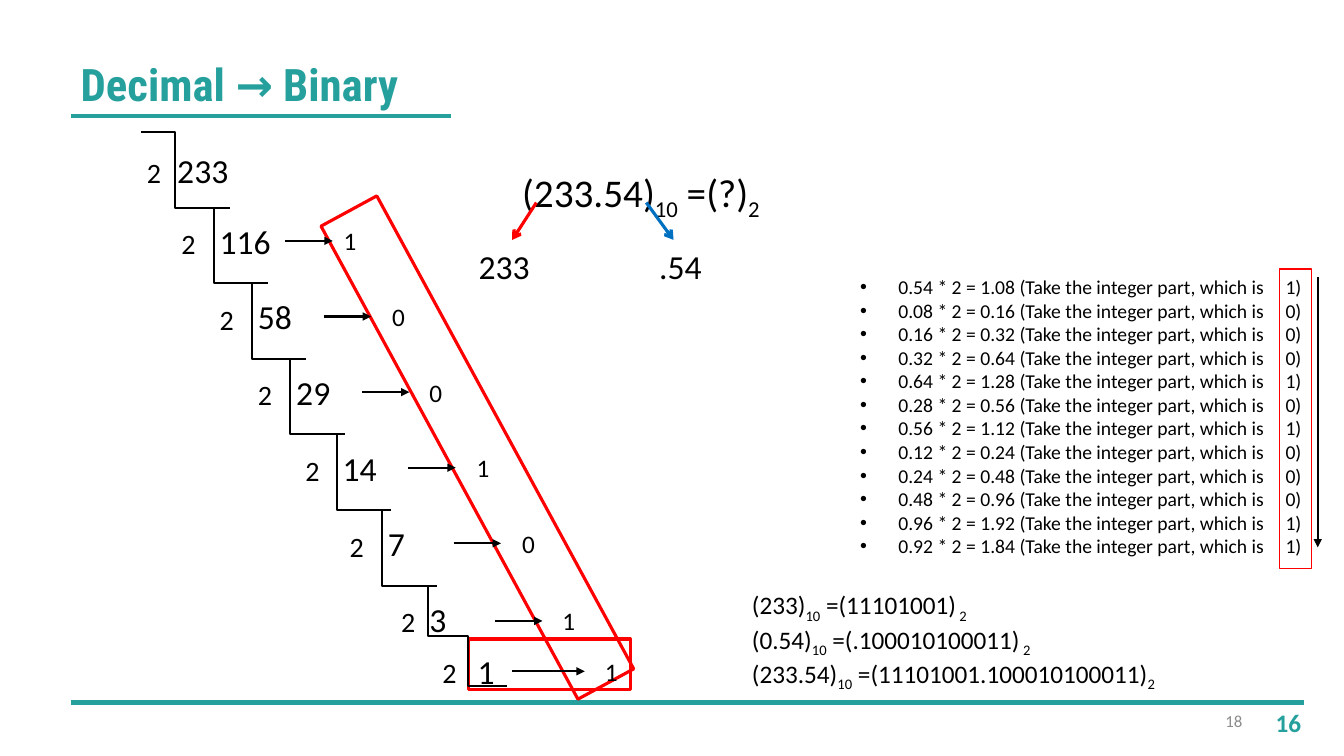
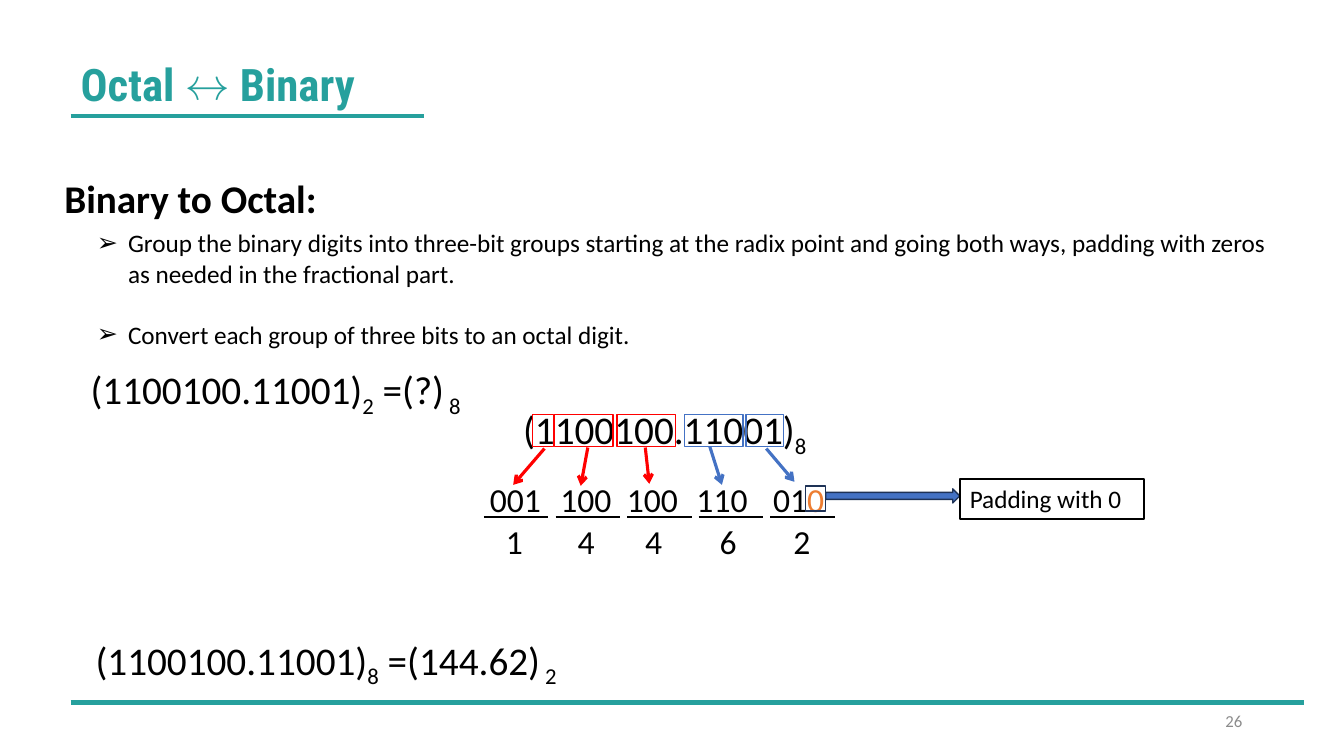
import lxml.etree
import pptx
import pptx.dml.color
import pptx.enum.shapes
import pptx.enum.text
import pptx.oxml.ns
import pptx.util

Inches = pptx.util.Inches
RGB = pptx.dml.color.RGBColor
SHAPE = pptx.enum.shapes.MSO_SHAPE
LINE = pptx.enum.shapes.MSO_CONNECTOR
ALIGN = pptx.enum.text.PP_ALIGN
ANCHOR = pptx.enum.text.MSO_ANCHOR

TEAL, BLACK, GREY = RGB(0x26, 0xA0, 0x9D), RGB(0, 0, 0), RGB(0x8C, 0x8C, 0x8C)
RED, AZURE, BLUE = RGB(0xFF, 0, 0), RGB(0, 0x70, 0xC0), RGB(0x44, 0x72, 0xC4)
NAVY, ORANGE = RGB(0x1E, 0x32, 0x56), RGB(0xED, 0x7D, 0x31)

# In all texts, the parts between bars are subscripts.

# Division steps: left edge, quotient, quotient offset, divisor left, remainder, remainder left
DIVISIONS = [
    (1.4, "233", (0.26, 0.13), 1.36, None, None),
    (1.78, "116", (0.3, 0.08), 1.7, "1", 3.31),
    (2.16, "58", (0.3, 0.08), 2.08, "0", 3.79),
    (2.54, "29", (0.3, 0.08), 2.46, "0", 4.16),
    (3.0, "14", (0.3, 0.08), 2.93, "1", 4.63),
    (3.45, "7", (0.3, 0.08), 3.37, "0", 5.08),
    (3.86, "3", (0.3, 0.08), 3.88, "1", 5.48),
    (4.26, "1", (0.38, 0.1), 4.29, "1", 5.9),
]
TALL_STEPS = 6
PRODUCTS = [
    ("0.54", "1.08"), ("0.08", "0.16"), ("0.16", "0.32"), ("0.32", "0.64"),
    ("0.64", "1.28"), ("0.28", "0.56"), ("0.56", "1.12"), ("0.12", "0.24"),
    ("0.24", "0.48"), ("0.48", "0.96"), ("0.96", "1.92"), ("0.92", "1.84"),
]
DECIMAL_RESULTS = [
    "(233)|10| =(11101001)| 2",
    "(0.54)|10| =(.100010100011)| 2",
    "(233.54)|10| =(11101001.100010100011)|2",
]
OCTAL_RULES = [
    "Group the binary digits into three-bit groups starting at the radix point and going "
    "both ways, padding with zeros as needed in the fractional part.",
    "Convert each group of three bits to an octal digit.",
]
# Groups: bits, bits left, digit, digit left, colour, frame left and width, arrow
GROUPS = [
    ("001", 4.76, "1", 4.92, RED, (5.28, 0.21), (5.4, 4.45, 5.09, 4.81)),
    ("100", 5.46, "4", 5.63, RED, (5.5, 0.58), (5.83, 4.44, 5.76, 4.82)),
    ("100", 6.12, "4", 6.3, RED, (6.12, 0.58), (6.4, 4.44, 6.44, 4.8)),
    ("110", 6.81, "6", 7.04, BLUE, (6.79, 0.58), (7.04, 4.43, 7.16, 4.81)),
    ("01", 7.57, "2", 7.77, BLUE, (7.4, 0.37), (7.6, 4.45, 7.88, 4.78)),
]


def add_child(parent, tag, **attrs):
    return lxml.etree.SubElement(parent, pptx.oxml.ns.qn(tag), **attrs)


def add_run(p, text, size, color=BLACK, bold=False, font="Calibri"):
    r = p.add_run()
    r.text = text
    formats = {"name": font, "size": pptx.util.Pt(size), "bold": bold}
    for name, value in formats.items():
        setattr(r.font, name, value)
    r.font.color.rgb = color
    return r


def write(tf, lines, size, align=ALIGN.LEFT, anchor=ANCHOR.TOP, bullet=None,
          indent=0, gap=0, **style):
    """Fill a text frame with one paragraph per line."""
    settings = {"word_wrap": True, "auto_size": pptx.enum.text.MSO_AUTO_SIZE.NONE,
                "vertical_anchor": anchor}
    for name, value in settings.items():
        setattr(tf, name, value)
    for i, line in enumerate(lines):
        p = tf.paragraphs[0] if i == 0 else tf.add_paragraph()
        if bullet:
            props = p._p.get_or_add_pPr()
            props.set("marL", str(Inches(indent)))
            props.set("indent", str(-Inches(indent)))
            add_child(props, "a:buFont", typeface="Arial")
            add_child(props, "a:buChar", char=bullet)
        p.alignment = align
        p.space_before = pptx.util.Pt(gap if i else 0)
        for j, part in enumerate(line.split("|")):
            r = add_run(p, part, size, **style)
            if j % 2:
                r.font._element.set("baseline", "-25000")


def add_text(s, at, text, size, **style):
    box = s.shapes.add_textbox(*map(Inches, at))
    write(box.text_frame, [text] if isinstance(text, str) else text, size, **style)
    return box


def fill_placeholder(sp, at, lines, size, **style):
    sp.left, sp.top, sp.width, sp.height = map(Inches, at)
    write(sp.text_frame, lines, size, **style)


def add_frame(s, at, color, width=1, fill=None, kind=SHAPE.RECTANGLE):
    sp = s.shapes.add_shape(kind, *map(Inches, at))
    sp.shadow.inherit = False
    if fill is None:
        sp.fill.background()
    else:
        sp.fill.solid()
        sp.fill.fore_color.rgb = fill
    sp.line.color.rgb = color
    sp.line.width = pptx.util.Pt(width)
    return sp


def add_line(s, ends, color=BLACK, width=1.5, head=None, bend=None):
    """Draw a line, or an elbow whose riser sits at the share `bend` of its width."""
    kind = LINE.STRAIGHT if bend is None else LINE.ELBOW
    line = s.shapes.add_connector(kind, *map(Inches, ends))
    line.line.color.rgb = color
    line.line.width = pptx.util.Pt(width)
    props = line._element.spPr
    if head:
        add_child(props.find(pptx.oxml.ns.qn("a:ln")), "a:tailEnd", type=head)
    if bend is not None:
        guides = props.find(".//" + pptx.oxml.ns.qn("a:avLst"))
        add_child(guides, "a:gd", name="adj1", fmla=f"val {round(bend * 100000)}")
    add_child(props, "a:effectLst")


def add_slide(prs, title, rule_end, number):
    """Add a slide with the shared title, rules and number; return it with its body."""
    s = prs.slides.add_slide(prs.slide_layouts[1])
    fill_placeholder(s.shapes.title, (0.7, 0.51, 7.53, 0.64), [title], 32,
                     color=TEAL, bold=True, font="Roboto Condensed")
    add_line(s, (0.7, 1.15, rule_end, 1.15), TEAL, 3)
    add_line(s, (0.7, 6.97, 12.93, 6.97), TEAL, 3)
    add_text(s, (9.42, 6.95, 3, 0.4), number, 12, color=GREY,
             align=ALIGN.RIGHT, anchor=ANCHOR.MIDDLE)
    return s, s.placeholders[1]


def add_divisions(s):
    y = 1.31
    for i, (x, quotient, (dx, dy), divisor_x, bit, bit_x) in enumerate(DIVISIONS):
        width, height, bend = (0.88, 0.75, 0.386) if i < TALL_STEPS else (0.77, 0.5, 0.5)
        add_line(s, (x, y, x + width, y + height), bend=bend)
        add_text(s, (x + dx, y + dy, 0.76, 0.5), quotient, 24)
        add_text(s, (divisor_x, y + 0.14 + (0.04 if i == 0 else 0), 0.34, 0.44), "2", 20)
        if bit:
            last = i == len(DIVISIONS) - 1
            start, length = (x + 0.82, 0.72) if last else (x + 1.05, 0.47)
            middle = y + (0.33 if i < TALL_STEPS else 0.35)
            add_line(s, (start, middle, start + length, middle), head="triangle")
            add_text(s, (bit_x, middle - 0.2, 0.35, 0.4), bit, 18)
        y += height


def decimal_slide(prs):
    s, body = add_slide(prs, "Decimal → Binary", 4.47, "18")
    add_text(s, (12.53, 6.97, 0.5, 0.4), "16", 18, color=TEAL, bold=True, align=ALIGN.CENTER)
    add_frame(s, (4.42, 1.77, 0.63, 5.34), RED, 2.25).rotation = 331.5
    add_frame(s, (4.65, 6.34, 1.6, 0.5), RED, 2.25)

    add_text(s, (5.08, 1.62, 2.84, 0.57), "(233.54)|10| =(?)|2", 28)
    add_line(s, (5.32, 2.01, 5.08, 2.38), RED, 2.25, "arrow")
    add_line(s, (6.41, 2.01, 6.68, 2.38), AZURE, 2.25, "arrow")
    for x, part in ((4.65, "233"), (6.44, ".54")):
        add_text(s, (x, 2.39, 0.76, 0.5), part, 24)
    add_divisions(s)

    products = [f"{a} * 2 = {b} (Take the integer part, which is" for a, b in PRODUCTS]
    fill_placeholder(body, (8.43, 2.68, 4.26, 2.93), products, 14, bullet="•", indent=0.38)
    bits = add_frame(s, (12.69, 2.67, 0.32, 2.97), RED)
    margins = {"margin_left": 0.06, "margin_right": 0, "margin_top": 0.06}
    for name, value in margins.items():
        setattr(bits.text_frame, name, Inches(value))
    write(bits.text_frame, [f"{b[0]})" for _, b in PRODUCTS], 14)
    add_line(s, (13.07, 2.75, 13.07, 5.43), head="triangle")
    add_text(s, (7.36, 5.8, 5.6, 1.13), DECIMAL_RESULTS, 18)


def octal_slide(prs):
    s, body = add_slide(prs, "Octal ↔ Binary", 4.21, "26")
    add_text(s, (0.54, 1.68, 2.8, 0.57), "Binary to Octal:", 28, bold=True)
    fill_placeholder(body, (0.86, 2.21, 11.85, 1.31), OCTAL_RULES, 18,
                     bullet="➢", indent=0.31, gap=22)
    add_text(s, (0.8, 3.58, 4.01, 0.57), "(1100100.11001)|2| =(?)| 8", 28)
    add_text(s, (5.09, 3.97, 3.46, 0.57), "(1100100.11001)|8", 28)
    add_text(s, (0.85, 6.26, 6.57, 0.57), "(1100100.11001)|8| =(144.62)| 2", 28)

    for i, (bits, bits_x, digit, digit_x, color, (x, width), arrow) in enumerate(GROUPS):
        add_frame(s, (x, 4.11, width, 0.32), color)
        add_line(s, arrow, color, 2.25, "arrow")
        box = add_text(s, (bits_x, 4.7, 0.76, 0.5), bits, 24)
        rule_x = 4.8 + 0.71 * i
        add_line(s, (rule_x, 5.13, rule_x + 0.64, 5.13))
        add_text(s, (digit_x, 5.12, 0.34, 0.5), digit, 24)
    add_run(box.text_frame.paragraphs[0], "0", 24, ORANGE)

    add_frame(s, (7.99, 4.82, 0.2, 0.25), NAVY)
    add_frame(s, (8.19, 4.85, 1.33, 0.14), NAVY, fill=BLUE, kind=SHAPE.RIGHT_ARROW)
    label = add_frame(s, (9.52, 4.75, 1.83, 0.4), BLACK, 1.5)
    write(label.text_frame, ["Padding with 0"], 18)


def main():
    prs = pptx.Presentation()
    prs.slide_width, prs.slide_height = Inches(13.33), Inches(7.5)
    decimal_slide(prs)
    octal_slide(prs)
    prs.save("out.pptx")


if __name__ == "__main__":
    main()
